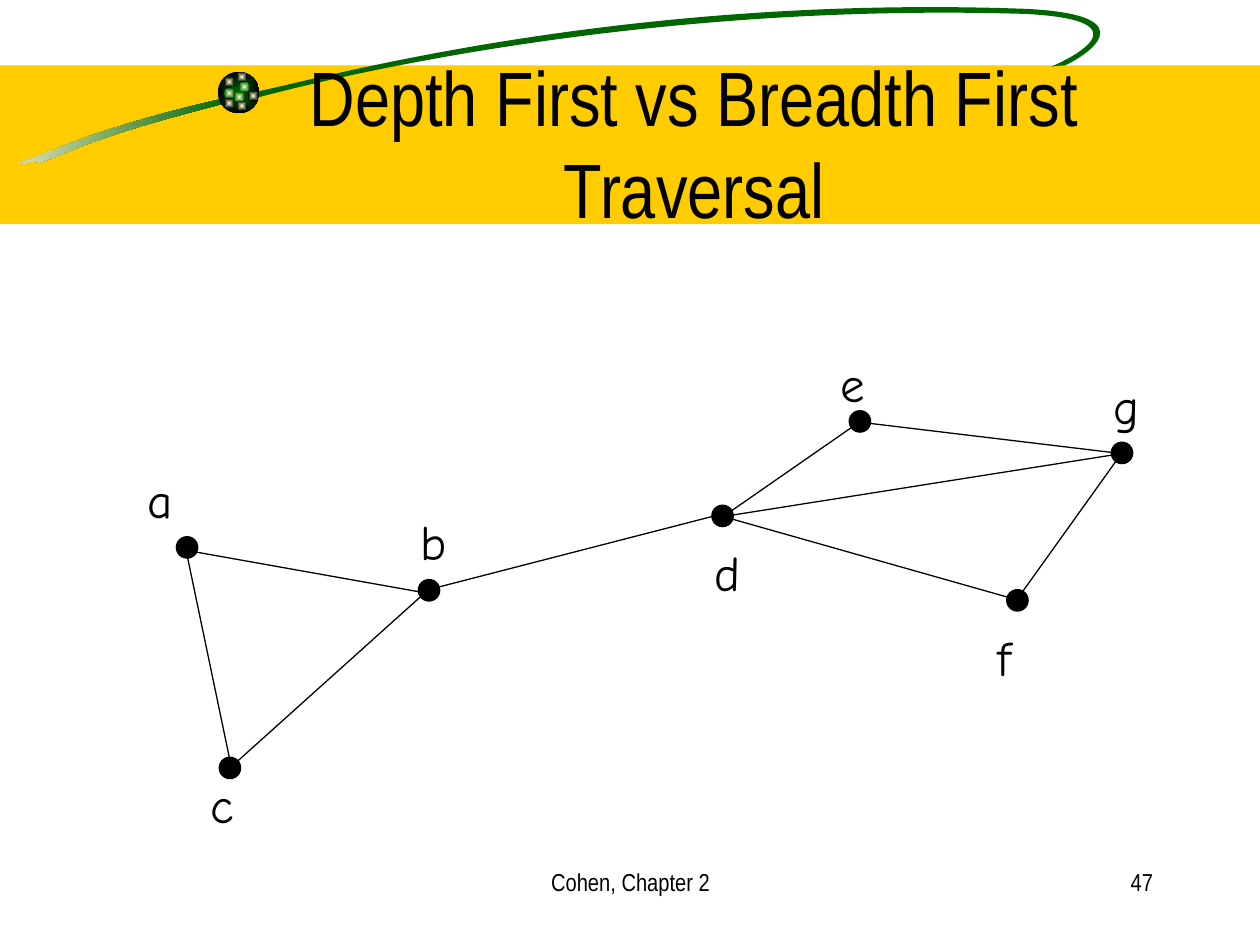
from math import cos, radians, sin

from lxml import etree
from pptx import Presentation
from pptx.dml.color import RGBColor
from pptx.enum import shapes, text
from pptx.oxml import parse_xml
from pptx.oxml.ns import nsdecls, qn
from pptx.util import Inches, Pt


def color(hex_string):
    return RGBColor.from_string(hex_string)


def paint(shape, *colors, line=None):
    """Fill with one colour, or with a gradient of two, and drop the shadow."""
    shape.shadow.inherit = False
    if len(colors) == 1:
        shape.fill.solid()
        shape.fill.fore_color.rgb = color(colors[0])
    else:
        shape.fill.gradient()
        shape.fill.gradient_angle = 180
        for stop, stop_color, place in zip(shape.fill.gradient_stops, colors, (0, 1)):
            stop.color.rgb = color(stop_color)
            stop.position = place
    if line:
        shape.line.color.rgb = color(line)
        shape.line.width = Pt(0.75)
    else:
        shape.line.fill.background()


GREEN, CREAM, BLACK = "006600", "FFFFCC", "000000"

deck = Presentation()
deck.slide_width, deck.slide_height = Inches(10), Inches(7.5)
page = deck.slides.add_slide(deck.slide_layouts[5])

# Yellow title band
band = page.shapes.add_shape(shapes.MSO_SHAPE.RECTANGLE, 0, Inches(0.52), Inches(10), Inches(1.26))
paint(band, "FFCC00")

# Ribbon: start point, then cubic curves (two control points and an end point)
tail = [(1.78, 0.78),
        [(0.91, 0.98), (0.49, 1.16), (0.25, 1.26)],
        [(0.01, 1.34), (0.26, 1.26), (0.31, 1.29)],
        [(0.57, 1.22), (0.57, 1.13), (1.79, 0.82)],
        [(1.79, 0.82), (1.78, 0.78), (1.78, 0.78)]]
loop = [(2.02, 0.73),
        [(2.46, 0.65), (4.86, -0.05), (8.14, 0.07)],
        [(9.17, 0.12), (8.57, 0.47), (8.45, 0.52)],
        [(8.45, 0.52), (8.38, 0.52), (8.34, 0.53)],
        [(8.44, 0.49), (9.16, 0.16), (8.13, 0.11)],
        [(5.48, 0.03), (3.2, 0.47), (2.06, 0.77)],
        [(2.06, 0.77), (2.02, 0.73), (2.02, 0.73)]]
TILT = 8.5  # degrees anticlockwise
tilt_cos, tilt_sin = cos(radians(TILT)), sin(radians(TILT))
for (start, *curves), frame, colors in ((tail, (-0.03, 0.91, 1.84, 0.3), (GREEN, "F5EBC1")),
                                        (loop, (2.01, -0.15, 7.16, 1.09), (GREEN,))):
    left, top, width, height = frame
    builder = page.shapes.build_freeform(Inches(start[0]), Inches(start[1]))
    builder.add_line_segments([(Inches(x), Inches(y)) for *_, (x, y) in curves], close=True)
    ribbon = builder.convert_to_shape()
    ribbon.left, ribbon.top = Inches(left), Inches(top)
    ribbon.width, ribbon.height = Inches(width), Inches(height)
    ribbon.rotation = 360 - TILT

    # Curves in the untilted frame
    path = next(ribbon._element.iter(qn("a:path")))
    path.set("w", str(Inches(width)))
    path.set("h", str(Inches(height)))
    for command in list(path):
        path.remove(command)
    for tag, points in [("a:moveTo", [start])] + [("a:cubicBezTo", curve) for curve in curves]:
        command = etree.SubElement(path, qn(tag))
        for x, y in points:
            dx, dy = x - left - width / 2, y - top - height / 2
            etree.SubElement(command, qn("a:pt"),
                             x=str(Inches(width / 2 + dx * tilt_cos - dy * tilt_sin)),
                             y=str(Inches(height / 2 + dx * tilt_sin + dy * tilt_cos)))
    etree.SubElement(path, qn("a:close"))
    paint(ribbon, *colors)

# Ball with small lights, each shaded from its centre
balls = [(1.73, 0.57, 0.33, GREEN, BLACK)]
balls += [(x, y, 0.08, CREAM, GREEN) for x, y in ((1.9, 0.65), (1.78, 0.7), (1.86, 0.73))]
balls += [(x, y, 0.08, CREAM, BLACK)
          for x, y in ((1.78, 0.61), (1.97, 0.72), (1.88, 0.8), (1.78, 0.78), (1.88, 0.57))]
for x, y, size, inner, outer in balls:
    ball = page.shapes.add_shape(shapes.MSO_SHAPE.OVAL, Inches(x), Inches(y), Inches(size), Inches(size))
    paint(ball, inner, outer)
    linear = ball._element.spPr.find(qn("a:gradFill")).find(qn("a:lin"))
    linear.getparent().replace(linear, parse_xml(
        f'<a:path {nsdecls("a")} path="rect">'
        '<a:fillToRect l="50000" t="50000" r="50000" b="50000"/></a:path>'))

# Graph: corner of each vertex and of its label
DOT = 0.17
vertices = {
    "a": ((1.4, 4.26), (1.07, 3.68)),
    "c": ((1.74, 6.01), (1.57, 6.1)),
    "b": ((3.32, 4.6), (3.24, 4.01)),
    "d": ((5.65, 4.01), (5.57, 4.26)),
    "e": ((6.74, 3.26), (6.57, 2.76)),
    "g": ((8.82, 3.51), (8.74, 2.93)),
    "f": ((7.99, 4.68), (7.82, 4.93)),
}
for (x, y), _ in vertices.values():
    dot = page.shapes.add_shape(shapes.MSO_SHAPE.OVAL, Inches(x), Inches(y), Inches(DOT), Inches(DOT))
    paint(dot, BLACK, line=BLACK)

# Edges run between points on the vertices
a_low, a_mid = (1.49, 4.43), (1.49, 4.37)
b_mid, b_low = (3.4, 4.68), (3.4, 4.71)
c_top, c_mid = (1.82, 6.01), (1.82, 6.1)
d_left, d_mid = (5.65, 4.1), (5.74, 4.1)
e_mid, f_mid, g_mid = (6.82, 3.35), (8.07, 4.76), (8.9, 3.6)
edges = [(a_low, c_top), (c_mid, b_mid), (b_mid, d_left), (d_mid, e_mid), (e_mid, g_mid),
         (d_mid, f_mid), (f_mid, g_mid), (d_mid, g_mid), (a_mid, b_low)]
for (x1, y1), (x2, y2) in edges:
    edge = page.shapes.add_connector(shapes.MSO_CONNECTOR.STRAIGHT,
                                     Inches(x1), Inches(y1), Inches(x2), Inches(y2))
    edge.line.color.rgb = color(BLACK)
    edge.line.width = Pt(0.75)
    etree.SubElement(edge._element.spPr, qn("a:effectLst"))

# Title, in front of the ribbon
title = page.shapes.title
title._element.getparent().append(title._element)
title.left, title.top, title.width, title.height = Inches(1.26), Inches(0.5), Inches(8.5), Inches(1.25)
title.text_frame.text = "Depth First vs Breadth First Traversal"
title.text_frame.vertical_anchor = text.MSO_ANCHOR.MIDDLE

# Labels and footer
align = text.PP_ALIGN
written = [(title, 44, "Arial Narrow", align.CENTER)]
boxes = [(name, x, y, 0.33 if name == "a" else 0.42, 0.57, 28, "Comic Neue", align.LEFT)
         for name, (_, (x, y)) in sorted(vertices.items())]
boxes += [("Cohen, Chapter 2", 3.42, 6.83, 3.17, 0.5, 14, "Arial Narrow", align.CENTER),
          ("47", 7.17, 6.83, 2.08, 0.5, 14, "Arial Narrow", align.RIGHT)]
for words, x, y, width, height, size, font, side in boxes:
    box = page.shapes.add_textbox(Inches(x), Inches(y), Inches(width), Inches(height))
    box.text_frame.text = words
    written.append((box, size, font, side))

for box, size, font, side in written:
    box.text_frame.word_wrap = True
    box.text_frame.auto_size = text.MSO_AUTO_SIZE.NONE
    para = box.text_frame.paragraphs[0]
    para.alignment = side
    for span in para.runs:
        span.font.size, span.font.name = Pt(size), font
        span.font.color.rgb = color(BLACK)

deck.save("out.pptx")
